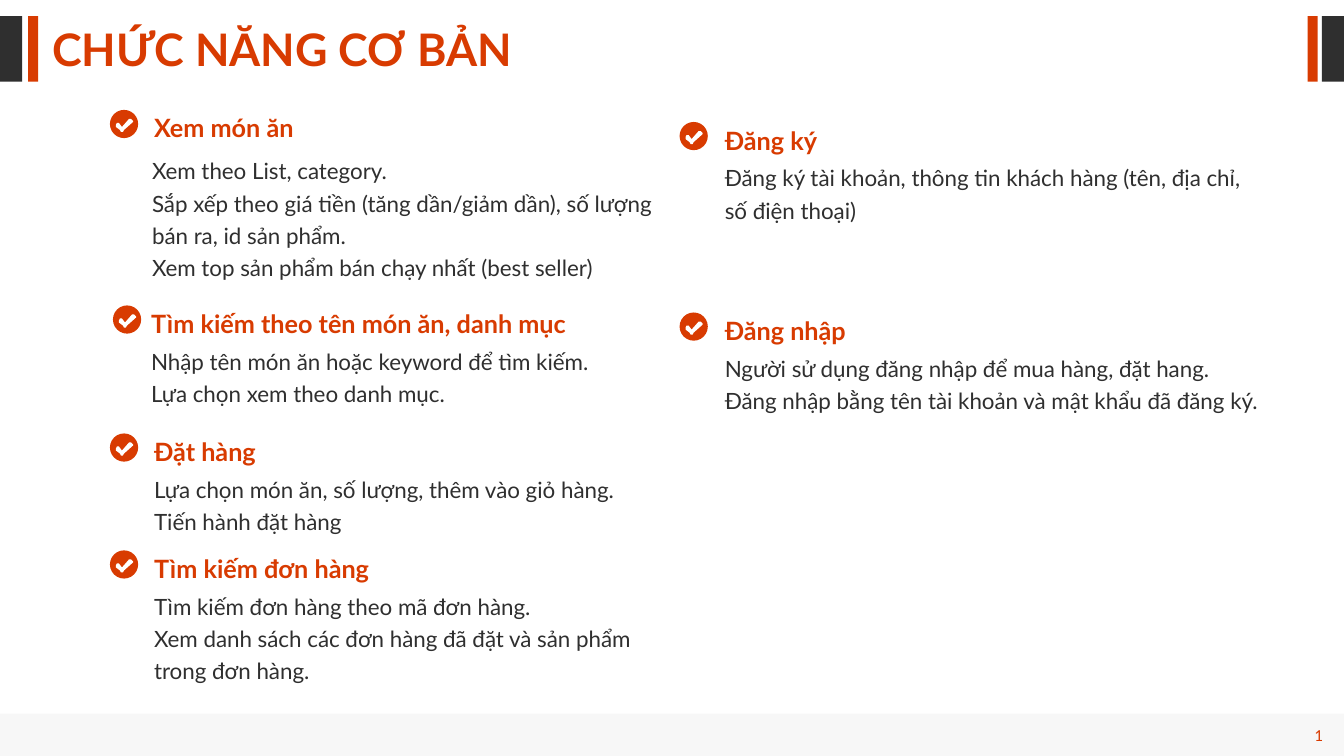
import pptx
import pptx.dml.color
import pptx.enum.shapes
import pptx.enum.text
import pptx.oxml
import pptx.oxml.ns
import pptx.util
from lxml import etree

Inches = pptx.util.Inches
ORANGE = pptx.dml.color.RGBColor(0xD8, 0x3B, 0x01)
DARK = pptx.dml.color.RGBColor(0x2F, 0x2F, 0x2F)
FOOTER_GREY = pptx.dml.color.RGBColor(0xE6, 0xE6, 0xE6)
WHITE = pptx.dml.color.RGBColor(0xFF, 0xFF, 0xFF)
SLIDE_WIDTH, SLIDE_HEIGHT = 13.33, 7.5
BADGE_SIZE = 0.28
# Outline of the tick, measured from the top left of its badge
TICK = [(0.23, 0.12), (0.14, 0.2), (0.13, 0.22), (0.11, 0.22), (0.1, 0.2),
        (0.06, 0.17), (0.06, 0.15), (0.07, 0.13), (0.09, 0.13), (0.12, 0.17),
        (0.19, 0.09), (0.21, 0.09), (0.23, 0.11)]

# Badge left, heading left, top, heading width, body left, body top, body width, heading, body
FEATURES = [
    (1.09, 1.43, 1.01, 3.12, 1.41, 1.46, 5.26, "Xem món ăn",
     ["Xem theo List, category.",
      "Sắp xếp theo giá tiền (tăng dần/giảm dần), số lượng bán ra, id sản phẩm.",
      "Xem top sản phẩm bán chạy nhất (best seller)"]),
    (1.12, 1.4, 2.95, 6.67, 1.4, 3.35, 5.26, "Tìm kiếm theo tên món ăn, danh mục",
     ["Nhập tên món ăn hoặc keyword để tìm kiếm.",
      "Lựa chọn xem theo danh mục."]),
    (1.09, 1.43, 4.22, 3.42, 1.43, 4.62, 5.26, "Đặt hàng",
     ["Lựa chọn món ăn, số lượng, thêm vào giỏ hàng.",
      "Tiến hành đặt hàng"]),
    (1.09, 1.43, 5.38, 3.42, 1.43, 5.78, 5.27, "Tìm kiếm đơn hàng",
     ["Tìm kiếm đơn hàng theo mã đơn hàng.",
      "Xem danh sách các đơn hàng đã đặt và sản phẩm trong đơn hàng."]),
    (6.74, 7.09, 1.13, 3.12, 7.09, 1.53, 5.57, "Đăng ký",
     ["Đăng ký tài khoản, thông tin khách hàng (tên, địa chỉ, số điện thoại)"]),
    (6.74, 7.09, 3.02, 5.57, 7.09, 3.42, 5.57, "Đăng nhập",
     ["Người sử dụng đăng nhập để mua hàng, đặt hang.",
      "Đăng nhập bằng tên tài khoản và mật khẩu đã đăng ký."]),
]


def paint(shape, color):
    shape.shadow.inherit = False
    shape.fill.solid()
    shape.fill.fore_color.rgb = color
    shape.line.fill.background()


def add_rectangle(shapes, left, top, width, height, color):
    rectangle = shapes.add_shape(
        pptx.enum.shapes.MSO_SHAPE.RECTANGLE,
        Inches(left), Inches(top), Inches(width), Inches(height))
    paint(rectangle, color)
    return rectangle


def add_text(slide, left, top, width, height, lines, size, color,
             bold=False, spacing=1.2, font_name="Lato"):
    box = slide.shapes.add_textbox(
        Inches(left), Inches(top), Inches(width), Inches(height))
    frame = box.text_frame
    frame.word_wrap = True
    frame.text = "\n".join(lines)
    for paragraph in frame.paragraphs:
        paragraph.line_spacing = spacing
        paragraph.font.name = font_name
        paragraph.font.size = pptx.util.Pt(size)
        paragraph.font.bold = bold
        paragraph.font.color.rgb = color
    return frame


def add_edge_bars(slide, dark_left, orange_left):
    """Place the wide dark bar and thin orange bar beside the title."""
    shapes = slide.shapes.add_group_shape().shapes
    add_rectangle(shapes, dark_left, 0.16, 0.22, 0.65, DARK)
    add_rectangle(shapes, orange_left, 0.16, 0.1, 0.65, ORANGE)


def add_footer(slide, top):
    bar = add_rectangle(slide.shapes, 0, top, SLIDE_WIDTH, SLIDE_HEIGHT - top, FOOTER_GREY)
    fill_color = bar.fill._xPr.find(".//" + pptx.oxml.ns.qn("a:srgbClr"))
    etree.SubElement(fill_color, pptx.oxml.ns.qn("a:alpha"), val="30000")

    frame = add_text(slide, 12.35, top + 0.06, 0.87, 0.3, ["9"], 12, ORANGE,
                     spacing=1.0, font_name="Calibri")
    frame.vertical_anchor = pptx.enum.text.MSO_ANCHOR.MIDDLE
    paragraph = frame.paragraphs[0]
    paragraph.alignment = pptx.enum.text.PP_ALIGN.RIGHT
    # Turn the run into a live slide number
    run = paragraph.runs[0]
    run.font.size = pptx.util.Pt(12)
    run.font.name = "Calibri"
    run.font.color.rgb = ORANGE
    field = etree.Element(pptx.oxml.ns.qn("a:fld"), type="slidenum",
                          id="{B5A3C1D2-4E6F-4A7B-8C9D-0E1F2A3B4C5D}")
    run._r.addprevious(field)
    field.extend(list(run._r))
    field.getparent().remove(run._r)


def add_badge(slide, left, top):
    """Place a round badge with a white tick."""
    shapes = slide.shapes.add_group_shape().shapes
    circle = shapes.add_shape(
        pptx.enum.shapes.MSO_SHAPE.OVAL,
        Inches(left), Inches(top), Inches(BADGE_SIZE), Inches(BADGE_SIZE))
    paint(circle, ORANGE)
    points = [(Inches(left + x), Inches(top + y)) for x, y in TICK]
    builder = shapes.build_freeform(*points[0])
    builder.add_line_segments(points[1:], close=True)
    paint(builder.convert_to_shape(), WHITE)


def add_feature(slide, badge_left, left, top, width,
                body_left, body_top, body_width, heading, lines):
    add_badge(slide, badge_left, top + 0.08)
    add_text(slide, left, top, width, 0.43, [heading], 18, ORANGE, bold=True)
    add_text(slide, body_left, body_top, body_width, 0.08 + 0.32 * len(lines),
             lines, 16, DARK)


def main():
    presentation = pptx.Presentation()
    presentation.slide_width = Inches(SLIDE_WIDTH)
    presentation.slide_height = Inches(SLIDE_HEIGHT)
    slide = presentation.slides.add_slide(presentation.slide_layouts[6])
    add_edge_bars(slide, dark_left=13.11, orange_left=12.97)
    add_footer(slide, 7.08)
    add_text(slide, 0.42, 0.27, 6.67, 0.54, ["CHỨC NĂNG CƠ BẢN"], 32, ORANGE,
             bold=True, spacing=0.8)
    add_edge_bars(slide, dark_left=0, orange_left=0.28)
    for feature in FEATURES:
        add_feature(slide, *feature)
    presentation.save("out.pptx")


if __name__ == "__main__":
    main()
